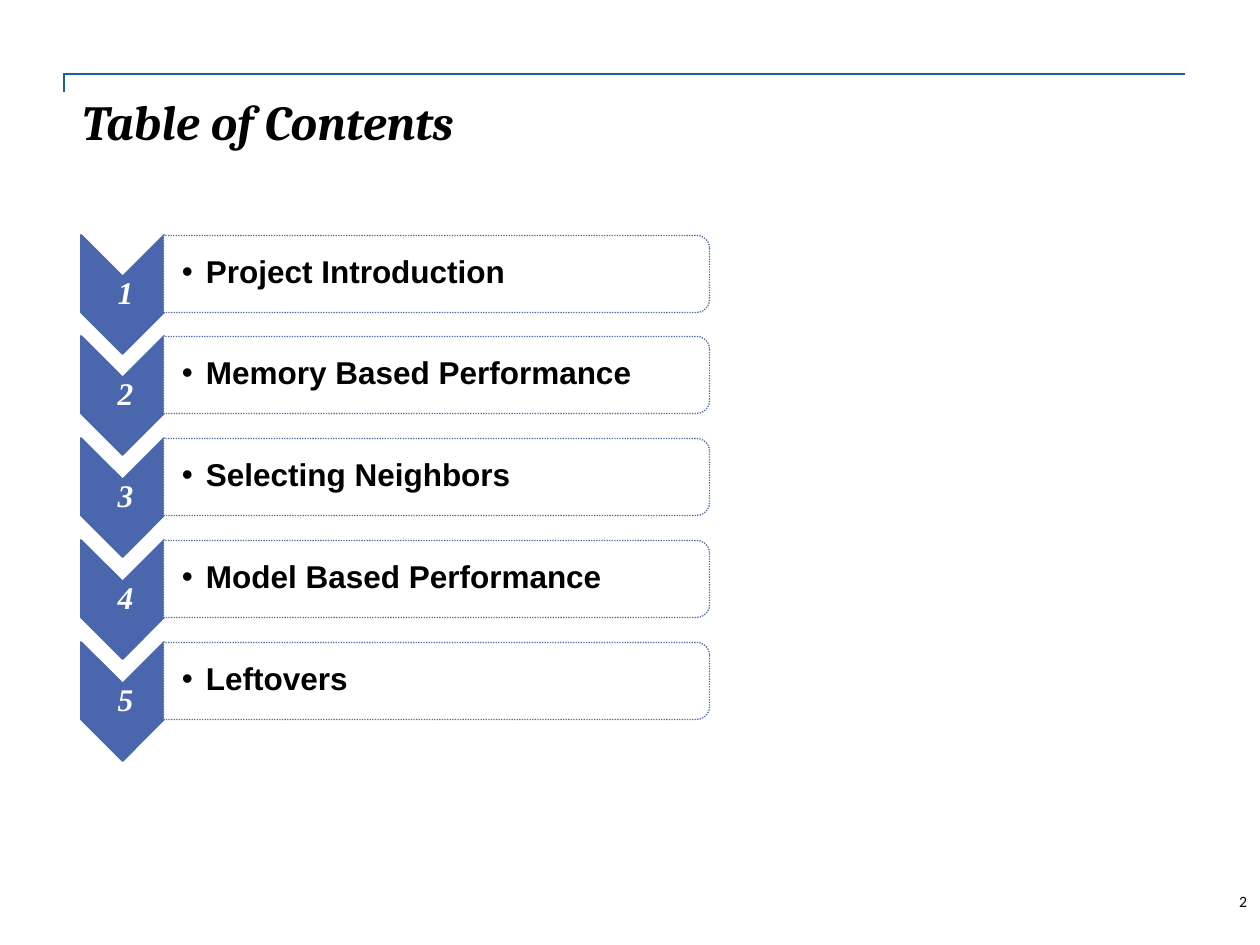
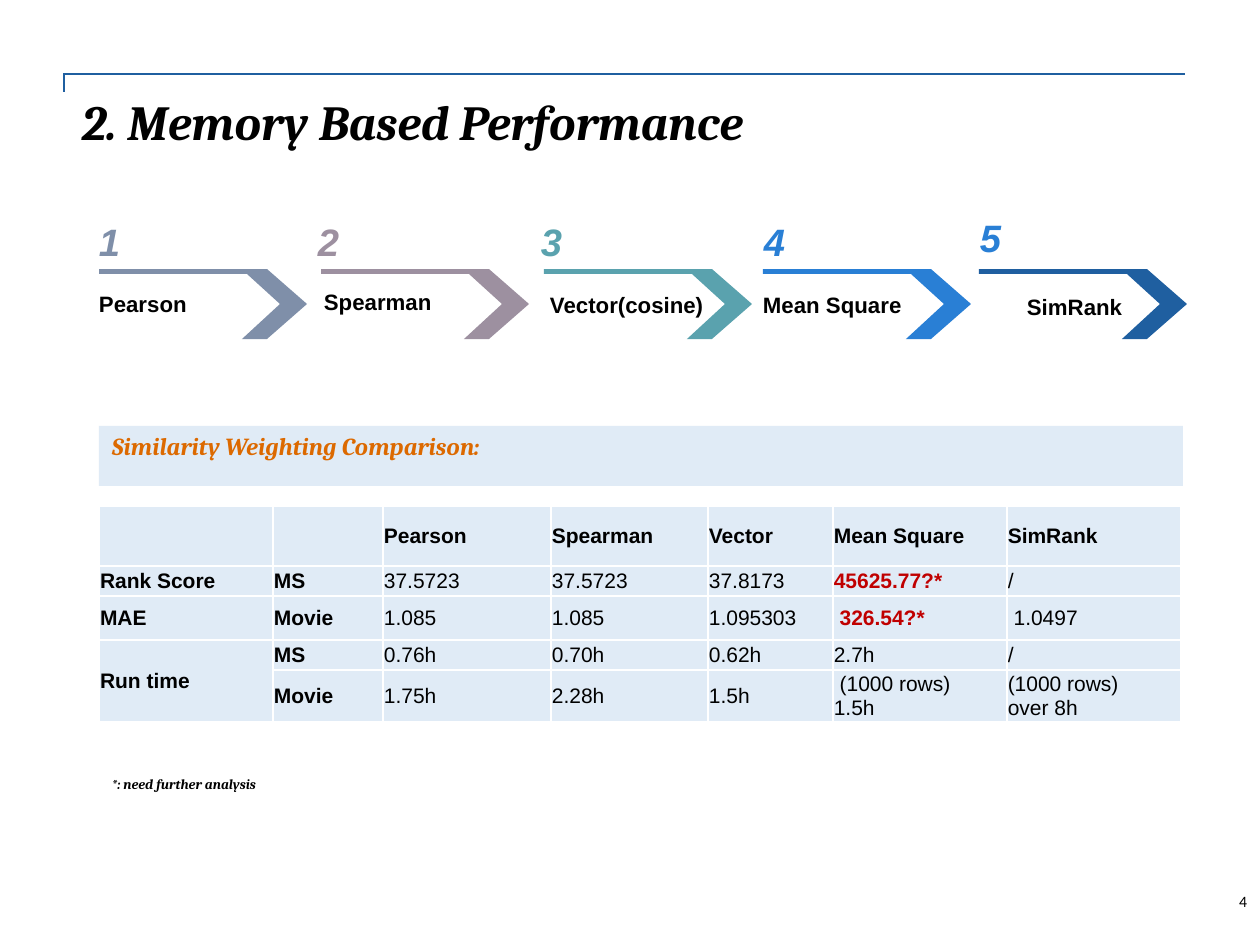
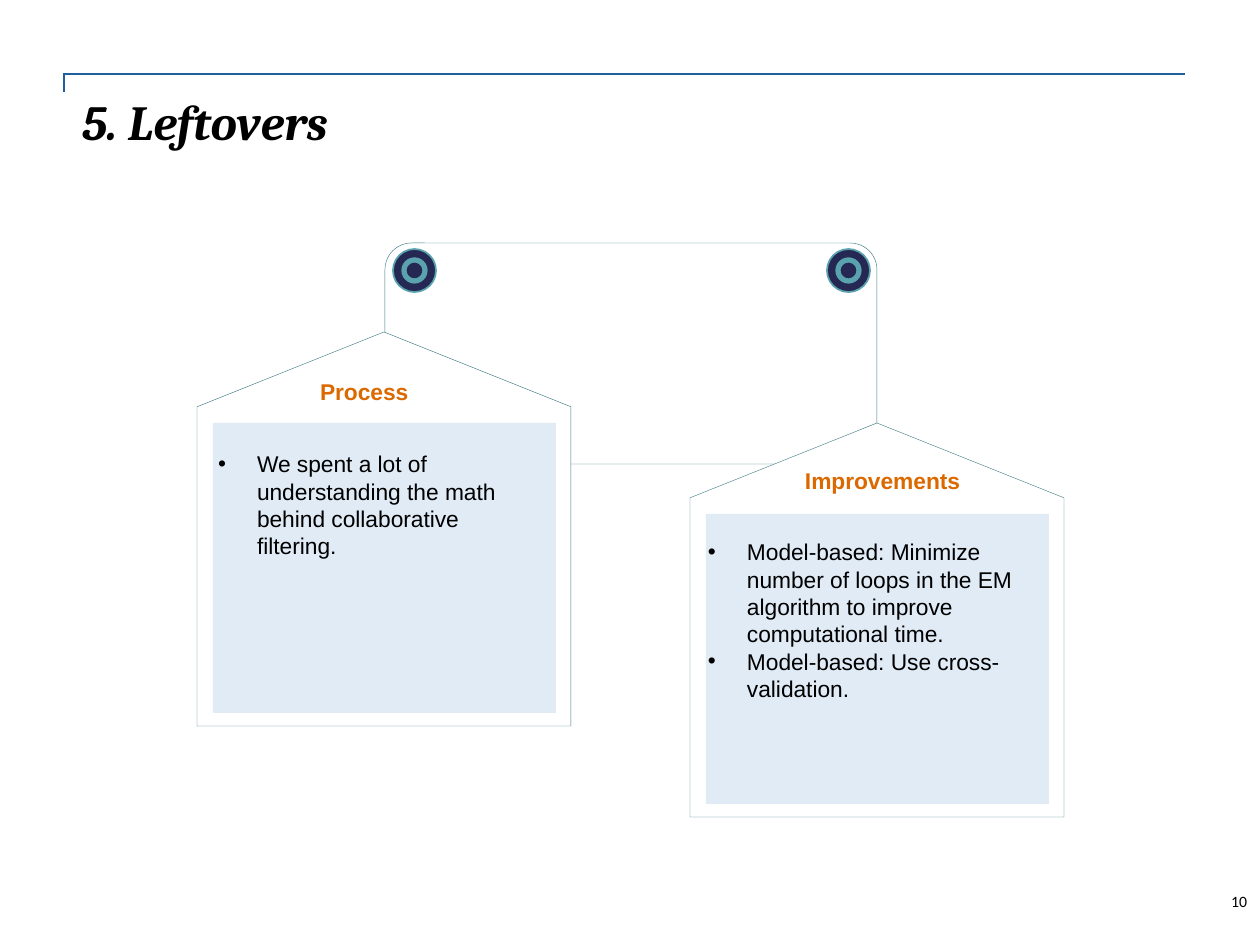
from dataclasses import dataclass
from lxml.etree import SubElement as Sub
from pptx import Presentation
from pptx.dml.color import RGBColor as Rgb
from pptx.enum.dml import MSO_LINE as Dash
from pptx.enum.shapes import MSO_SHAPE as Kind
from pptx.enum.text import MSO_ANCHOR as Anchor, PP_ALIGN as Align
from pptx.oxml.ns import qn
from pptx.util import Emu, Pt

U = 914400 / 126  # EMU in one pixel


@dataclass(frozen=True)
class Theme:
    ink: str = "000000"
    white: str = "FFFFFF"
    rule: str = "1F5FA0"
    step: str = "4A66AC"
    pale: str = "E0EBF6"
    gold: str = "DC6900"
    red: str = "C00000"
    wire: str = "417B85"
    navy: str = "242852"
    slate: str = "7F8FA9"
    mauve: str = "9D90A0"
    teal: str = "5AA2AE"
    blue: str = "297FD5"
    sans: str = "Arial"
    serif: str = "Cambria"
    plain: str = "Calibri"
    roman: str = "Times New Roman"
    title: float = 28
    count: float = 21.8
    item: float = 18
    band: float = 14
    body: float = 13
    label: float = 12.7
    cell: float = 12
    page: float = 9
    note: float = 8


T = Theme()


def form(slide, at, kind=None, fill=None, line=None, width=1.0):
    """Add a shape, or a text box when no kind is given."""
    at = [Emu(round(U * v)) for v in at]
    if kind is None:
        return slide.shapes.add_textbox(*at)
    shape = slide.shapes.add_shape(kind, *at)
    shape.shadow.inherit = False
    if fill:
        shape.fill.solid()
        shape.fill.fore_color.rgb = Rgb.from_string(fill)
    else:
        shape.fill.background()
    if line:
        shape.line.color.rgb = Rgb.from_string(line)
        shape.line.width = Pt(width)
    else:
        shape.line.fill.background()
    return shape


def write(frame, text, size, font=T.sans, color=T.ink, bold=False, slant=False,
          align=Align.LEFT, anchor=Anchor.TOP, pad=(13, 6, 13, 6),
          space=None, hang=0, wrap=True):
    """Fill a text frame; a hanging indent brings a bullet."""
    frame.word_wrap = wrap
    frame.vertical_anchor = anchor
    (frame.margin_left, frame.margin_top,
     frame.margin_right, frame.margin_bottom) = [Emu(round(U * v)) for v in pad]
    frame.text = text
    for para in frame.paragraphs:
        para.alignment = align
        para.line_spacing = space
        if hang:
            prop = para._p.get_or_add_pPr()
            prop.set("marL", str(round(U * hang)))
            prop.set("indent", str(-round(U * hang)))
            Sub(prop, qn("a:buFont")).set("typeface", T.sans)
            Sub(prop, qn("a:buChar")).set("char", "•")
        for run in para.runs:
            run.font.size = Pt(size)
            run.font.name = font
            run.font.bold = bold
            run.font.italic = slant
            run.font.color.rgb = Rgb.from_string(color)


deck = Presentation()
deck.slide_width = Emu(round(U * 1260))
deck.slide_height = Emu(round(U * 945))

# Shared frame: page number, corner rule, title
pages = []
for page, title in [("2", "Table of Contents"),
                    ("4", "2. Memory Based Performance"),
                    ("10", "5. Leftovers")]:
    slide = deck.slides.add_slide(deck.slide_layouts[6])
    pages.append(slide)
    write(form(slide, (977, 876, 283, 50)).text_frame, page, T.page, T.plain,
          align=Align.RIGHT, anchor=Anchor.MIDDLE)

    at = [Emu(round(U * v)) for v in (64, 74, 1122, 17)]
    rule = slide.shapes.add_table(1, 1, *at).table
    rule.first_row = rule.horz_banding = False
    cell = rule.cell(0, 0)
    cell.margin_top = cell.margin_bottom = 0
    Sub(cell.text_frame.paragraphs[0]._p, qn("a:endParaRPr")).set("sz", "100")
    prop = cell._tc.get_or_add_tcPr()
    for side in ("a:lnL", "a:lnT"):
        edge = Sub(prop, qn(side), w=str(Pt(1)))
        Sub(Sub(edge, qn("a:solidFill")), qn("a:srgbClr")).set("val", T.rule)
    cell.fill.background()

    write(form(slide, (69, 92, 1113, 126)).text_frame, title, T.title, T.serif,
          bold=True, slant=True, space=0.9)

toc, memory, left = pages

# Contents: chevrons with numbers, dotted boxes with topics
topics = ["Project Introduction", "Memory Based Performance",
          "Selecting Neighbors", "Model Based Performance", "Leftovers"]
for i, topic in enumerate(topics):
    down = 407 * i // 4
    mark = form(toc, (63, 253 + down, 119, 83), Kind.CHEVRON, T.step, T.step)
    mark.rotation = 90
    write(form(toc, (84, 277 + down, 83, 35)).text_frame, str(i + 1), T.item,
          T.roman, T.white, True, True, Align.CENTER, Anchor.MIDDLE,
          (1, 1, 1, 1), 0.9)
    box = form(toc, (398, 1 + down, 77, 546), Kind.ROUND_2_SAME_RECTANGLE,
               T.white, T.step, 0.75)
    box.rotation = 90
    box.line.dash_style = Dash.ROUND_DOT
    write(form(toc, (164, 239 + down, 542, 69)).text_frame, topic, T.item,
          bold=True, anchor=Anchor.MIDDLE, pad=(18, 1, 1, 1), space=0.9, hang=24)

# Memory: heading band
band = form(memory, (99, 426, 1084, 60), Kind.RECTANGLE, T.pale)
write(band.text_frame, "Similarity Weighting Comparison:", T.band, T.serif,
      T.gold, True, True, pad=(13, 5, 13, 5))

# Memory: five arrows; x, fill, number place and colour, label place
outline = [(0, 0), (0, 5), (148, 5), (181, 35), (143, 70), (168, 70), (208, 35)]
arrows = [("Pearson", 99, T.slate, 99, 218, T.slate, 99, 285),
          ("Spearman", 321, T.mauve, 318, 218, T.mauve, 324, 283),
          ("Vector(cosine)", 544, T.teal, 541, 218, T.teal, 550, 286),
          ("Mean Square", 763, T.blue, 764, 218, T.blue, 763, 286),
          ("SimRank", 979, T.rule, 980, 214, T.blue, 1027, 288)]
for i, (name, x, fill, nx, ny, color, lx, ly) in enumerate(arrows):
    pen = memory.shapes.build_freeform(x + 168, 269, scale=U)
    pen.add_line_segments([(x + dx, 269 + dy) for dx, dy in outline], close=True)
    arrow = pen.convert_to_shape()
    arrow.shadow.inherit = False
    arrow.fill.solid()
    arrow.fill.fore_color.rgb = Rgb.from_string(fill)
    arrow.line.fill.background()
    write(form(memory, (nx, ny, 50, 60)).text_frame, str(i + 1), T.count,
          color=color, bold=True, slant=True, pad=(0, 0, 0, 0), wrap=False)
    write(form(memory, (lx, ly, 204, 70)).text_frame, name, T.label,
          bold=True, pad=(0, 5, 0, 0))

# Memory: results table
rows = [["", "", "Pearson", "Spearman", "Vector", "Mean Square", "SimRank"],
        ["Rank Score", "MS", "37.5723", "37.5723", "37.8173", "45625.77?*", "/"],
        ["MAE", "Movie", "1.085", "1.085", "1.095303", "\u00a0326.54?*",
         "\u00a01.0497"],
        ["Run time", "MS", "0.76h", "0.70h", "0.62h", "2.7h", "/"],
        ["", "Movie", "1.75h", "2.28h", "1.5h", "\u00a0(1000 rows)\n1.5h",
         "(1000 rows)\nover 8h"]]
wide = [174, 110, 168, 157, 125, 174, 174]
high = [60, 30, 44, 30, 51]
at = [Emu(round(U * v)) for v in (99, 506, sum(wide), sum(high))]
grid = memory.shapes.add_table(len(rows), len(wide), *at).table
grid.first_row = grid.horz_banding = False
for col, w in zip(grid.columns, wide):
    col.width = Emu(round(U * w))
for r, (row, h) in enumerate(zip(rows, high)):
    grid.rows[r].height = Emu(round(U * h))
    for c, text in enumerate(row):
        cell = grid.cell(r, c)
        cell.fill.solid()
        cell.fill.fore_color.rgb = Rgb.from_string(T.pale)
        cell.vertical_anchor = Anchor.MIDDLE
        cell.margin_left = cell.margin_right = cell.margin_top = Emu(round(U))
        cell.margin_bottom = 0
        cell.text_frame.text = text
        odd = text.endswith("?*")
        for para in cell.text_frame.paragraphs:
            for run in para.runs:
                run.font.size = Pt(T.cell)
                run.font.name = T.sans
                run.font.bold = r == 0 or c < 2 or odd
                run.font.color.rgb = Rgb.from_string(T.red if odd else T.ink)
grid.cell(3, 0).merge(grid.cell(4, 0))

# Memory: footnote
write(form(memory, (99, 770, 1084, 42)).text_frame, "*: need further analysis",
      T.note, T.serif, bold=True, slant=True)

# Leftovers: rope, two hanging signs with panels
rope = form(left, (385, 243, 492, 221), Kind.ROUNDED_RECTANGLE, None, T.wire, 0.25)
rope.adjustments[0] = 0.12
for x, y in [(187, 342), (680, 433)]:
    sign = form(left, (x, y, 394, 374), Kind.RIGHT_ARROW, T.white, T.wire, 0.25)
    sign.rotation = 270
    sign.adjustments[0] = 1
    sign.adjustments[1] = 0.2
    form(left, (x + 26, y + 81, 343, 290), Kind.RECTANGLE, T.pale)

# Leftovers: pulleys
for x in (393, 827):
    form(left, (x, 249, 43, 43), Kind.OVAL, T.navy, T.teal)
    form(left, (x + 11, 260, 21, 21), Kind.OVAL, T.navy, T.teal, 3)

# Leftovers: sign headings and points
signs = [("Process", (307, 372, 155, 40), (205, 444, 345, 123),
          "We spent a lot of understanding the math behind collaborative filtering."),
         ("Improvements", (792, 461, 239, 40), (695, 532, 358, 178),
          "Model-based: Minimize number of loops in the EM algorithm to improve "
          "computational time.\nModel-based: Use cross-validation.")]
for head, top, spot, text in signs:
    write(form(left, spot).text_frame, text, T.body, hang=39)
    write(form(left, top).text_frame, head, T.body, color=T.gold, bold=True)

deck.save("out.pptx")
